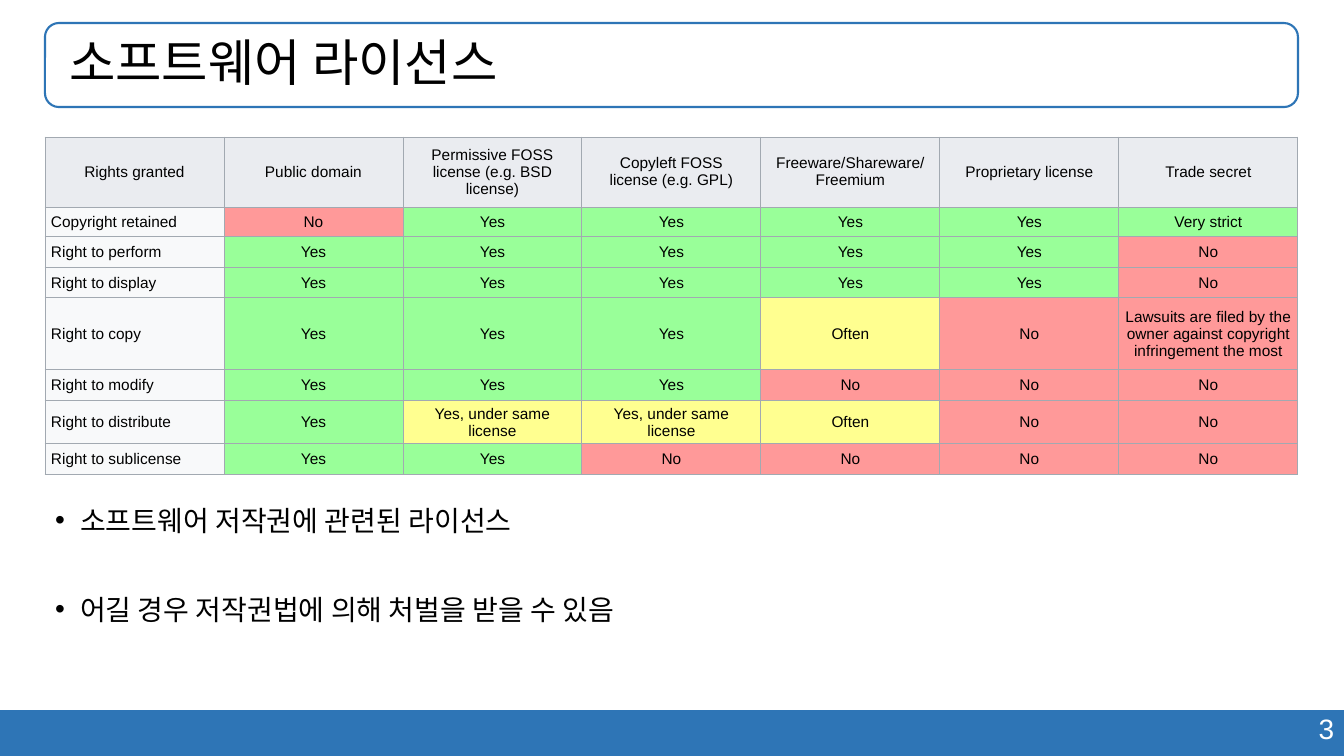
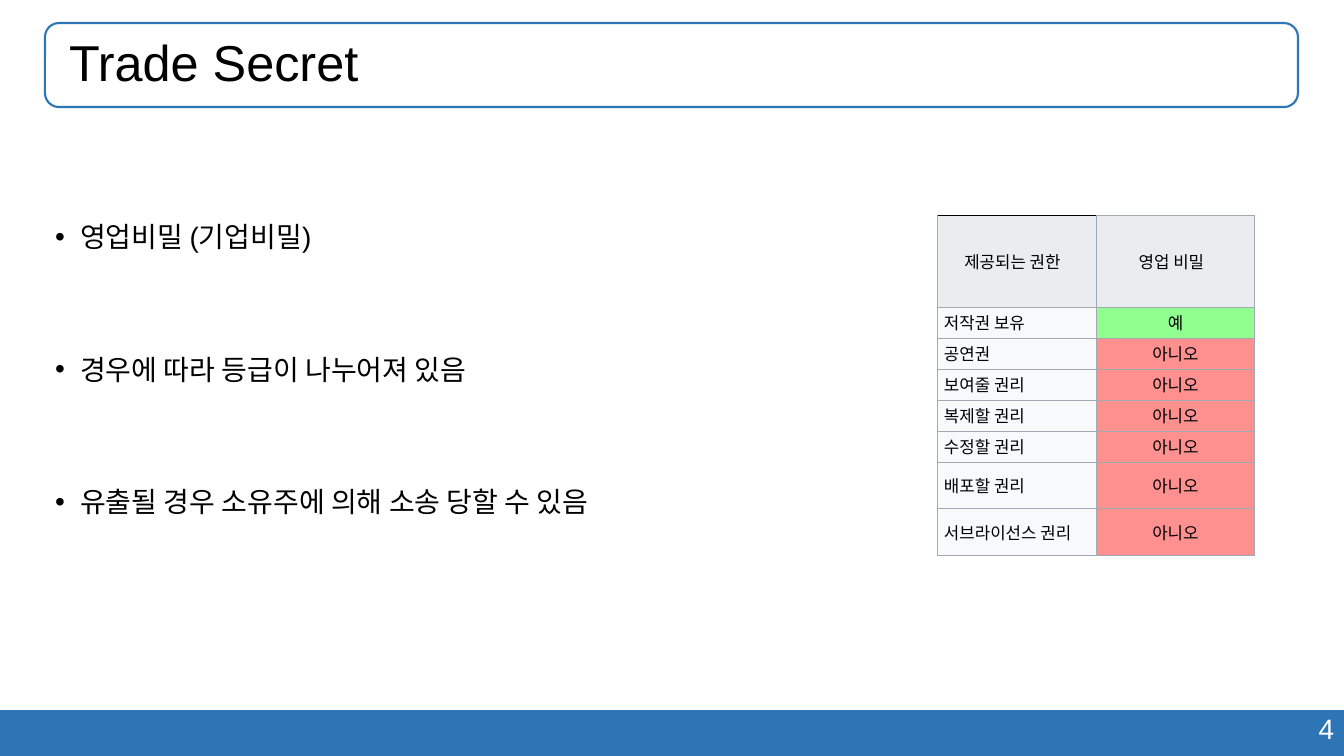
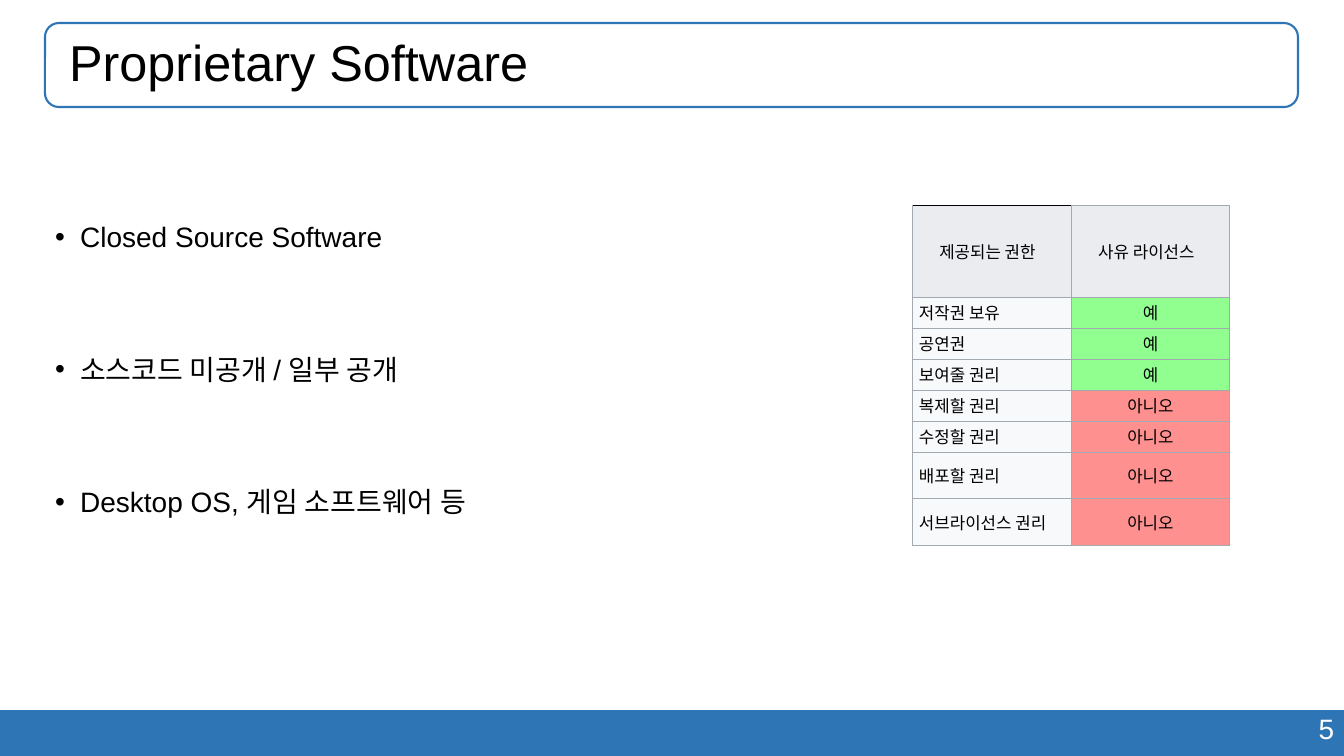
from copy import deepcopy

from lxml.etree import SubElement
from pptx import Presentation
from pptx.dml.color import RGBColor
from pptx.enum.shapes import MSO_SHAPE
from pptx.enum.text import MSO_ANCHOR, MSO_AUTO_SIZE, PP_ALIGN
from pptx.oxml.ns import qn
from pptx.util import Pt

# Shared look
FONT = "Arial"
BLUE = RGBColor(0x2E, 0x75, 0xB6)
WHITE = RGBColor(0xFF, 0xFF, 0xFF)
BLACK = RGBColor(0x00, 0x00, 0x00)
BORDER = RGBColor(0xA2, 0xA9, 0xB1)
HEAD = RGBColor(0xEA, 0xEC, 0xF0)
LABEL = RGBColor(0xF8, 0xF9, 0xFA)
GREEN = RGBColor(0x99, 0xFF, 0x99)
RED = RGBColor(0xFF, 0x99, 0x99)
YELLOW = RGBColor(0xFF, 0xFF, 0x90)
BRIGHT_GREEN = RGBColor(0x90, 0xFF, 0x90)
BRIGHT_RED = RGBColor(0xFF, 0x90, 0x90)

WIDTH, HEIGHT = 1344, 756
LEFT, CONTENT_W = 45, 1253
FRAME = (LEFT, 23, CONTENT_W, 84)
BODY_LINE = 24

# Table contents
SAME = "Yes, under same license"
LAWSUITS = ("Lawsuits are filed by the owner against copyright "
            "infringement the most")
ANSWER_FILL = {
    "Yes": GREEN, "Very strict": GREEN, "No": RED, LAWSUITS: RED,
    "Often": YELLOW, SAME: YELLOW,
    "예": BRIGHT_GREEN, "아니오": BRIGHT_RED,
}
LICENSES = [
    ["Rights granted", "Public domain",
     "Permissive FOSS\nlicense (e.g. BSD license)",
     "Copyleft FOSS\nlicense (e.g. GPL)",
     "Freeware/Shareware/\nFreemium", "Proprietary license", "Trade secret"],
    ["Copyright retained", "No", "Yes", "Yes", "Yes", "Yes", "Very strict"],
    ["Right to perform", "Yes", "Yes", "Yes", "Yes", "Yes", "No"],
    ["Right to display", "Yes", "Yes", "Yes", "Yes", "Yes", "No"],
    ["Right to copy", "Yes", "Yes", "Yes", "Often", "No", LAWSUITS],
    ["Right to modify", "Yes", "Yes", "Yes", "No", "No", "No"],
    ["Right to distribute", "Yes", SAME, SAME, "Often", "No", "No"],
    ["Right to sublicense", "Yes", "Yes", "No", "No", "No", "No"],
]
LICENSE_ROWS = [70, 30, 31, 30, 72, 31, 42, 31]
RIGHTS = ["저작권 보유", "공연권", "보여줄 권리", "복제할 권리",
          "수정할 권리", "배포할 권리", "서브라이선스 권리"]
RIGHTS_ROWS = [92] + [31] * 5 + [46, 48]


def px(n):
    return round(n * 914400 / 100.8)


def place(shape, x, y, w, h):
    shape.left, shape.top, shape.width, shape.height = map(px, (x, y, w, h))


def write(p, text, size, color=BLACK, align=PP_ALIGN.LEFT, line=None, before=0):
    p.text = text
    p.alignment = align
    p.space_before = Pt(before)
    if line:
        p.line_spacing = line
    for r in p.runs:
        r.font.name, r.font.size, r.font.bold = FONT, Pt(size), False
        r.font.color.rgb = color
    # Line breaks take the size of the text around them
    for br in p._p.findall(qn("a:br")):
        br.append(deepcopy(p.runs[0]._r.rPr))


def add_decor(s):
    """Put the bottom band and the title frame on the layout of s."""
    layout = s.slide_layout
    for ph in list(layout.placeholders):
        if ph.placeholder_format.idx >= 10:
            ph.element.getparent().remove(ph.element)
    band = s.shapes.add_shape(MSO_SHAPE.RECTANGLE, 0, px(710), px(WIDTH), px(46))
    band.fill.solid()
    band.fill.fore_color.rgb = BLUE
    band.line.fill.background()
    frame = s.shapes.add_shape(MSO_SHAPE.ROUNDED_RECTANGLE, *map(px, FRAME))
    frame.fill.background()
    frame.line.color.rgb = BLUE
    frame.line.width = Pt(1.5)
    for shape in (frame, band):
        shape.shadow.inherit = False
        layout.shapes.element.insert(2, shape.element)


def add_slide(prs, title, number):
    s = prs.slides.add_slide(prs.slide_layouts[1])
    if number == 3:
        add_decor(s)
    # Title
    place(s.shapes.title, *FRAME)
    tf = s.shapes.title.text_frame
    tf.auto_size = MSO_AUTO_SIZE.NONE
    tf.vertical_anchor = MSO_ANCHOR.MIDDLE
    tf.margin_left = px(24)
    write(tf.paragraphs[0], title, 36, line=0.9)
    # Page number
    box = s.shapes.add_textbox(px(951), px(707), px(393), px(44))
    box.text_frame.word_wrap = True
    write(box.text_frame.paragraphs[0], str(number), 20, WHITE, PP_ALIGN.RIGHT)
    return s


def add_bullets(s, items, top, height, inset, gap):
    body = s.placeholders[1]
    place(body, LEFT, top, CONTENT_W, height)
    tf = body.text_frame
    tf.auto_size = MSO_AUTO_SIZE.NONE
    tf.vertical_anchor = MSO_ANCHOR.TOP
    tf.margin_top = px(inset)
    for i, item in enumerate(items):
        p = tf.add_paragraph() if i else tf.paragraphs[0]
        pPr = p._p.get_or_add_pPr()
        pPr.set("marL", str(px(25)))
        pPr.set("indent", str(-px(25)))
        SubElement(pPr, qn("a:buChar"), char="•")
        write(p, item, 20, line=Pt(BODY_LINE), before=gap if i else 0)


def set_borders(cell, top=BORDER):
    tcPr = cell._tc.get_or_add_tcPr()
    for side in "LRTB":
        ln = SubElement(tcPr, qn(f"a:ln{side}"), w=str(Pt(0.75)))
        fill = SubElement(ln, qn("a:solidFill"))
        color = top if side == "T" else BORDER
        SubElement(fill, qn("a:srgbClr"), val=str(color))


def add_table(s, data, x, y, col_w, row_h, size, inset, head_right, corner=BORDER):
    cols = len(data[0])
    table = s.shapes.add_table(len(data), cols, px(x), px(y),
                               px(col_w * cols), px(sum(row_h))).table
    table.first_row = table.horz_banding = False
    for col in table.columns:
        col.width = px(col_w)
    for i, (row, h) in enumerate(zip(data, row_h)):
        table.rows[i].height = px(h)
        for j, text in enumerate(row):
            cell = table.cell(i, j)
            set_borders(cell, BORDER if i or j else corner)
            cell.fill.solid()
            cell.fill.fore_color.rgb = (
                HEAD if i == 0 else LABEL if j == 0 else ANSWER_FILL[text])
            cell.vertical_anchor = MSO_ANCHOR.MIDDLE
            cell.margin_left = px(inset)
            cell.margin_right = px(inset if i else head_right)
            cell.margin_top = cell.margin_bottom = px(3)
            label = i and j == 0
            write(cell.text_frame.paragraphs[0], text, size,
                  align=PP_ALIGN.LEFT if label else PP_ALIGN.CENTER)


def add_license_slide(prs, number, title, items, heading, allowed, x, y):
    """A list on the left; the first `allowed` rights are granted."""
    s = add_slide(prs, title, number)
    add_bullets(s, items, top=127, height=557, inset=93, gap=70.6)
    data = [["제공되는 권한", heading]]
    data += [[right, "예" if i < allowed else "아니오"]
             for i, right in enumerate(RIGHTS)]
    add_table(s, data, x, y, 159, RIGHTS_ROWS, size=12, inset=7,
              head_right=15, corner=BLACK)


def main():
    prs = Presentation()
    prs.slide_width, prs.slide_height = px(WIDTH), px(HEIGHT)

    # Overview of licenses
    s = add_slide(prs, "소프트웨어 라이선스", 3)
    add_bullets(s, ["소프트웨어 저작권에 관련된 라이선스",
                    "어길 경우 저작권법에 의해 처벌을 받을 수 있음"],
                top=502, height=211, inset=1, gap=39.6)
    add_table(s, LICENSES, LEFT, 137, CONTENT_W // 7, LICENSE_ROWS,
              size=11, inset=6, head_right=6)

    # One license each
    add_license_slide(prs, 4, "Trade Secret",
                      ["영업비밀 (기업비밀)",
                       "경우에 따라 등급이 나누어져 있음",
                       "유출될 경우 소유주에 의해 소송 당할 수 있음"],
                      "영업 비밀", allowed=1, x=937, y=215)
    add_license_slide(prs, 5, "Proprietary Software",
                      ["Closed Source Software",
                       "소스코드 미공개 / 일부 공개",
                       "Desktop OS, 게임 소프트웨어 등"],
                      "사유 라이선스", allowed=3, x=912, y=205)
    prs.save("out.pptx")


if __name__ == "__main__":
    main()
